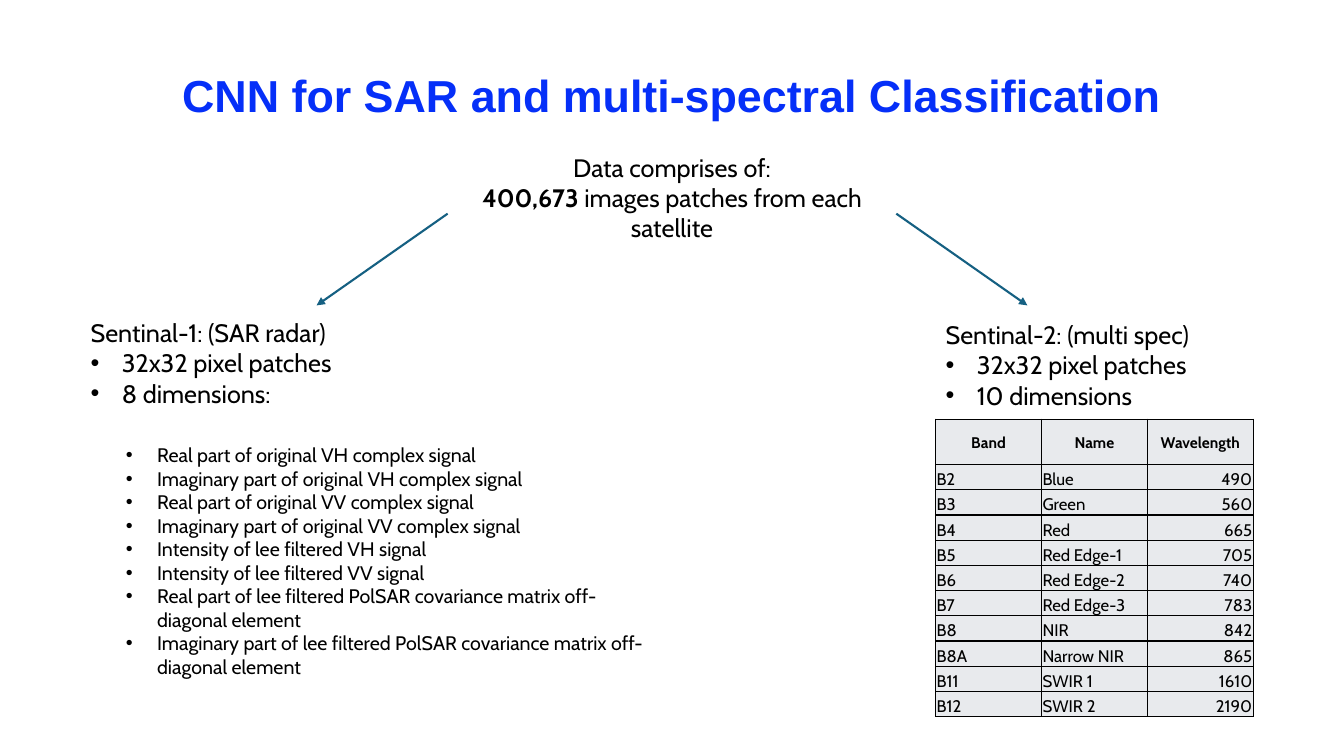
from dataclasses import dataclass

from lxml import etree
from pptx import Presentation
from pptx.dml import color
from pptx.enum import shapes, text
from pptx.oxml import ns
from pptx.util import Inches, Pt

BLACK = "000000"
TITLE_BLUE = "052FF8"
ARROW_BLUE = "156082"
CELL_GREY = "E8EAED"
LEFT, CENTER, RIGHT = text.PP_ALIGN.LEFT, text.PP_ALIGN.CENTER, text.PP_ALIGN.RIGHT


@dataclass
class Words:
    content: str
    bold: bool = False


@dataclass
class Line:
    runs: list[Words]
    align: text.PP_ALIGN = LEFT
    indent: float = 0
    level: int = 0
    spacing: float | None = None


@dataclass
class Block:
    left: float
    top: float
    width: float
    height: float
    size: float
    lines: list[Line]


@dataclass
class Arrow:
    start_x: float
    end_x: float


def rgb(value: str) -> color.RGBColor:
    return color.RGBColor.from_string(value)


def add_child(parent, tag: str, **attributes: str):
    return etree.SubElement(parent, ns.qn(tag), attributes)


def add_words(paragraph, words: Words, size: float, font: str = "Cabin", ink: str = BLACK) -> None:
    run = paragraph.add_run()
    run.text = words.content
    run.font.name = font
    run.font.size = Pt(size)
    run.font.bold = words.bold
    run.font.color.rgb = rgb(ink)


def add_bullet(paragraph, indent: float) -> None:
    properties = paragraph._p.get_or_add_pPr()
    properties.set("marL", str(Inches(indent)))
    properties.set("indent", str(Inches(-0.31)))
    add_child(properties, "a:buFont", typeface="Arial")
    add_child(properties, "a:buChar", char="•")


def draw_block(slide, block: Block) -> None:
    box = slide.shapes.add_textbox(
        Inches(block.left), Inches(block.top), Inches(block.width), Inches(block.height)
    )
    frame = box.text_frame
    frame.word_wrap = True
    for number, line in enumerate(block.lines):
        paragraph = frame.add_paragraph() if number else frame.paragraphs[0]
        paragraph.alignment = line.align
        paragraph.level = line.level
        if line.spacing:
            paragraph.line_spacing = line.spacing
        if line.indent:
            add_bullet(paragraph, line.indent)
        for words in line.runs:
            add_words(paragraph, words, block.size)


def draw_arrow(slide, arrow: Arrow) -> None:
    connector = slide.shapes.add_connector(
        shapes.MSO_CONNECTOR.STRAIGHT,
        Inches(arrow.start_x), Inches(2.12), Inches(arrow.end_x), Inches(3.03),
    )
    connector.line.color.rgb = rgb(ARROW_BLUE)
    connector.line.width = Pt(1.5)
    add_child(connector.line._ln, "a:tailEnd", type="triangle")
    add_child(connector._element.spPr, "a:effectLst")


def add_borders(cell) -> None:
    properties = cell._tc.get_or_add_tcPr()
    for position, side in enumerate(("a:lnL", "a:lnR", "a:lnT", "a:lnB")):
        border = etree.Element(ns.qn(side), w=str(Pt(1)))
        add_child(add_child(border, "a:solidFill"), "a:srgbClr", val=BLACK)
        properties.insert(position, border)


def draw_bands(slide, bands: list[tuple[str, str, str]]) -> None:
    table = slide.shapes.add_table(
        len(bands), 3, Inches(9.28), Inches(4.16), Inches(3.15), Inches(2.95)
    ).table
    table.first_row = False
    table.horz_banding = False
    for column in table.columns:
        column.width = Inches(1.05)
    for row_number, band in enumerate(bands):
        heading = row_number == 0
        table.rows[row_number].height = Inches(0.45 if heading else 0.25)
        for column_number, content in enumerate(band):
            cell = table.cell(row_number, column_number)
            cell.margin_left = cell.margin_right = cell.margin_top = Inches(0.01)
            cell.margin_bottom = 0
            cell.vertical_anchor = text.MSO_ANCHOR.MIDDLE if heading else text.MSO_ANCHOR.BOTTOM
            cell.fill.solid()
            cell.fill.fore_color.rgb = rgb(CELL_GREY)
            add_borders(cell)
            paragraph = cell.text_frame.paragraphs[0]
            paragraph.alignment = CENTER if heading else (LEFT, LEFT, RIGHT)[column_number]
            add_words(paragraph, Words(content, heading), 11 if heading else 12)


def draw_title(slide, content: str) -> None:
    title = slide.shapes.title
    title.left, title.top = 0, Inches(0.62)
    title.width, title.height = Inches(13.33), Inches(1.18)
    frame = title.text_frame
    frame.auto_size = text.MSO_AUTO_SIZE.NONE
    frame.vertical_anchor = text.MSO_ANCHOR.TOP
    frame.paragraphs[0].alignment = CENTER
    add_words(frame.paragraphs[0], Words(content, True), 32, "Arial", TITLE_BLUE)


def satellite_lines(name: str, dimensions: str) -> list[Line]:
    facts = ("32x32 pixel patches", dimensions)
    return [Line([Words(name)])] + [Line([Words(fact)], indent=0.31) for fact in facts]


SIGNALS = [
    "Real part of original VH complex signal",
    "Imaginary part of original VH complex signal",
    "Real part of original VV complex signal",
    "Imaginary part of original VV complex signal",
    "Intensity of lee filtered VH signal",
    "Intensity of lee filtered VV signal",
    "Real part of lee filtered PolSAR covariance matrix off-diagonal element",
    "Imaginary part of lee filtered PolSAR covariance matrix off-diagonal element",
]
BANDS = [
    ("Band", "Name", "Wavelength"),
    ("B2", "Blue", "490"),
    ("B3", "Green", "560"),
    ("B4", "Red", "665"),
    ("B5", "Red Edge-1", "705"),
    ("B6", "Red Edge-2", "740"),
    ("B7", "Red Edge-3", "783"),
    ("B8", "NIR", "842"),
    ("B8A", "Narrow NIR", "865"),
    ("B11", "SWIR 1", "1610"),
    ("B12", "SWIR 2", "2190"),
]
DATA = Block(4.44, 1.46, 4.45, 1.31, 18, [
    Line([Words("Data comprises of:")], CENTER),
    Line([Words("400,673", True), Words(" images patches from each satellite")], CENTER),
])
RADAR = Block(0.8, 3.1, 6.18, 1.01, 18, satellite_lines("Sentinal-1: (SAR radar)", "8 dimensions:"))
SPECTRAL = Block(9.28, 3.12, 2.78, 1.31, 18, satellite_lines("Sentinal-2: (multi spec)", "10 dimensions"))
DIMENSIONS = Block(0.65, 4.23, 6.02, 2.88, 14, [
    Line([Words(signal)], indent=0.81, level=1, spacing=None if number else 1.5)
    for number, signal in enumerate(SIGNALS)
])


def main() -> None:
    deck = Presentation()
    deck.slide_width, deck.slide_height = Inches(13.33), Inches(7.5)
    slide = deck.slides.add_slide(deck.slide_layouts[5])
    draw_title(slide, "CNN for SAR and multi-spectral Classification")
    draw_block(slide, DATA)
    for arrow in (Arrow(4.44, 3.14), Arrow(8.89, 10.19)):
        draw_arrow(slide, arrow)
    for block in (RADAR, SPECTRAL):
        draw_block(slide, block)
    draw_bands(slide, BANDS)
    draw_block(slide, DIMENSIONS)
    deck.save("out.pptx")


if __name__ == "__main__":
    main()
